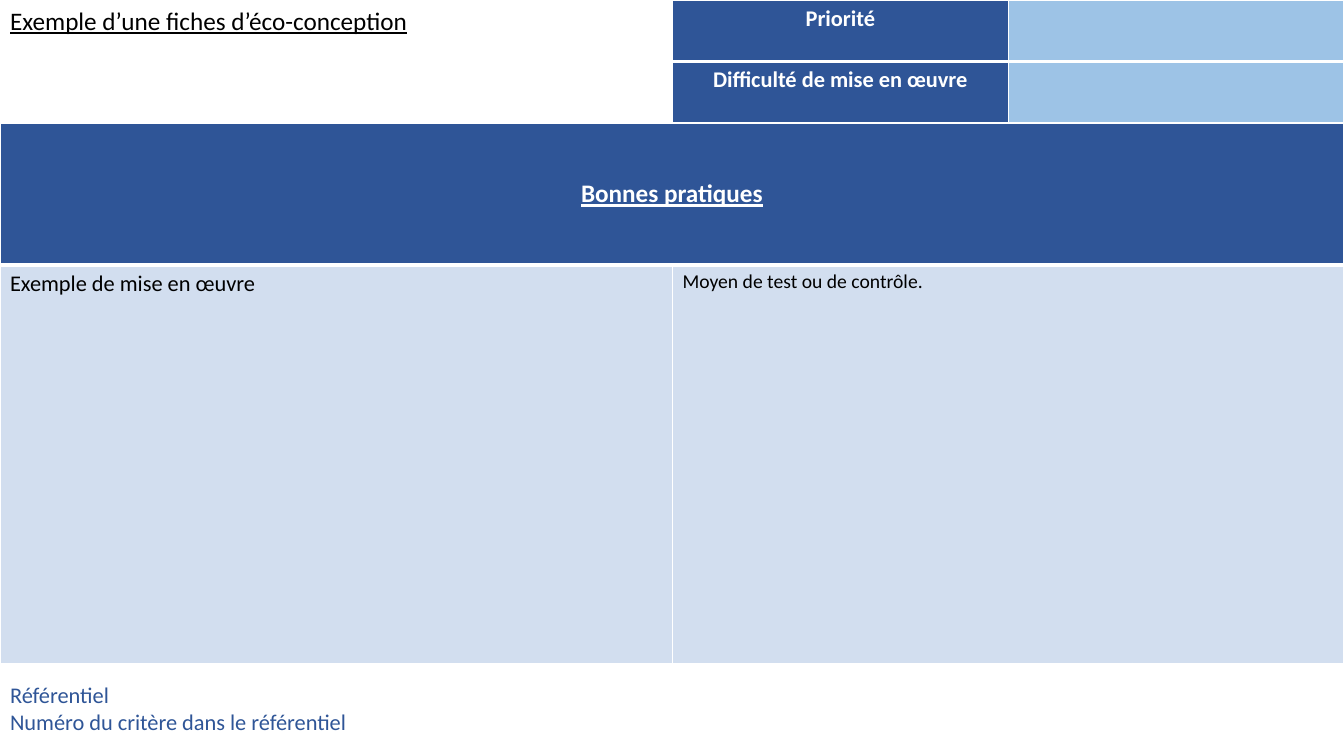
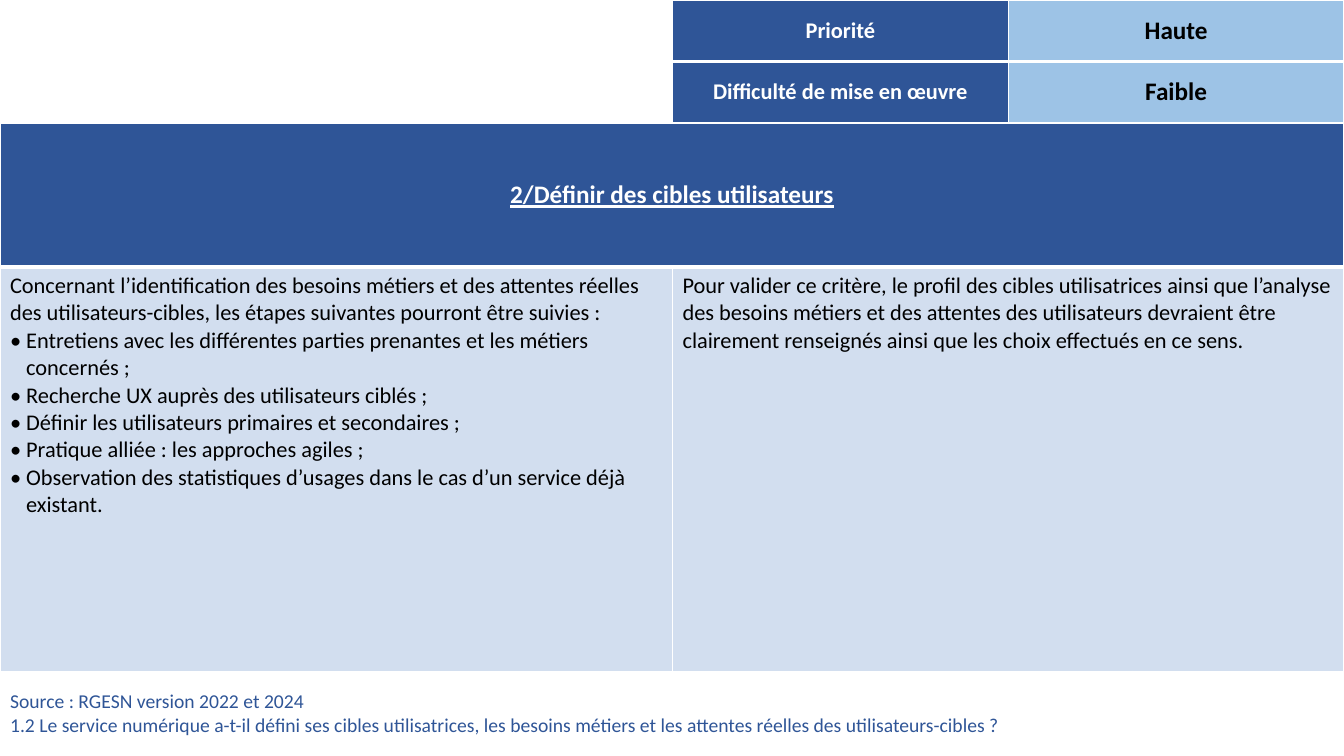
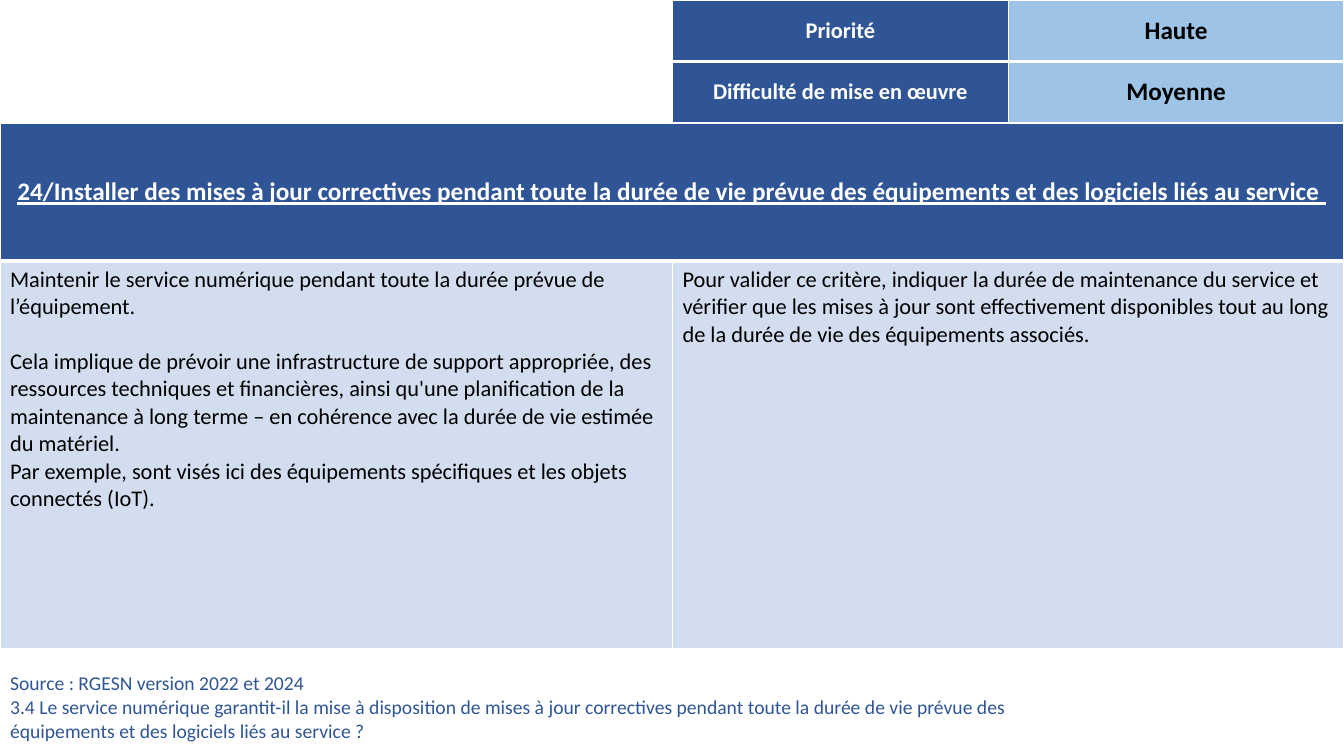
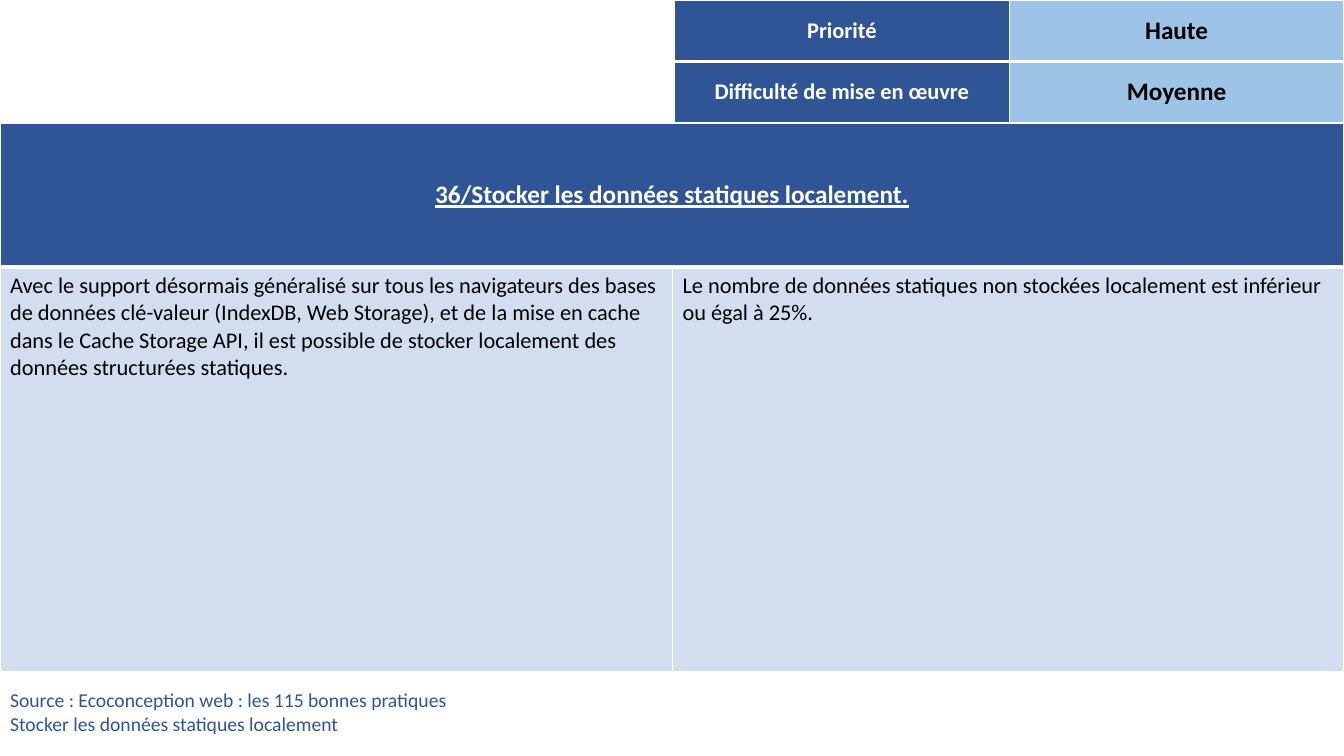
from dataclasses import dataclass

from lxml import etree
from pptx import Presentation
from pptx.dml.color import RGBColor
from pptx.enum import text
from pptx.oxml import ns
from pptx.util import Inches, Pt


@dataclass(frozen=True)
class Theme:
    font: str = "Calibri"
    navy: str = "2F5597"
    sky: str = "9DC3E6"
    pale: str = "D2DEEF"
    white: str = "FFFFFF"
    black: str = "000000"
    large: int = 18
    medium: int = 16
    small: int = 14
    thin: int = 1
    thick: int = 3
    bullet_indent: float = 0.16


theme = Theme()
LEFT, CENTER = text.PP_ALIGN.LEFT, text.PP_ALIGN.CENTER
TOP, MIDDLE = text.MSO_ANCHOR.TOP, text.MSO_ANCHOR.MIDDLE


def add_grid(page, left, top, widths, heights):
    table = page.shapes.add_table(
        len(heights), len(widths), Inches(left), Inches(top),
        Inches(sum(widths)), Inches(sum(heights))).table
    table.first_row = table.horz_banding = False
    for column, width in zip(table.columns, widths):
        column.width = Inches(width)
    for index, (row, height) in enumerate(zip(table.rows, heights)):
        row.height = Inches(height)
        borders = {"L": theme.thin, "R": theme.thin,
                   "T": theme.thick if index else theme.thin,
                   "B": theme.thin if index else theme.thick}
        for cell in row.cells:
            properties = cell._tc.get_or_add_tcPr()
            for side, weight in borders.items():
                line = etree.SubElement(properties, ns.qn(f"a:ln{side}"), w=str(Pt(weight)))
                fill = etree.SubElement(line, ns.qn("a:solidFill"))
                etree.SubElement(fill, ns.qn("a:srgbClr"), val=theme.white)
    return table


def fill_cell(cell, lines, fill, size, color, align=LEFT, anchor=TOP,
              bold=False, underline=False, gap_before=None):
    cell.fill.solid()
    cell.fill.fore_color.rgb = RGBColor.from_string(fill)
    cell.vertical_anchor = anchor
    cell.text_frame.text = "\n".join(line.removeprefix("• ") for line in lines)
    for index, (line, para) in enumerate(zip(lines, cell.text_frame.paragraphs)):
        para.alignment = align
        if index == gap_before:
            para.space_before = Pt(19.5)
        if line.startswith("• "):
            properties = para._p.get_or_add_pPr()
            indent = Inches(theme.bullet_indent)
            properties.set("marL", str(indent))
            properties.set("indent", str(-indent))
            etree.SubElement(properties, ns.qn("a:buFont"), typeface=theme.font)
            etree.SubElement(properties, ns.qn("a:buChar"), char="•")
        for span in para.runs:
            span.font.name = theme.font
            span.font.size = Pt(size)
            span.font.bold = bold
            span.font.underline = underline
            span.font.color.rgb = RGBColor.from_string(color)


sheets = [
    dict(
        title="Exemple d’une fiches d’éco-conception",
        heading="Bonnes pratiques",
        ratings=("", ""), rating_left=6.67, rating_anchor=TOP,
        heights=(1.41, 3.95),
        example=["Exemple de mise en œuvre"],
        check="Moyen de test ou de contrôle.", check_size=theme.small,
        source=["Référentiel", "Numéro du critère dans le référentiel"],
        source_top=6.58, source_height=0.92, source_size=theme.medium,
    ),
    dict(
        heading="2/Définir des cibles utilisateurs",
        ratings=("Haute", "Faible"), rating_left=6.67,
        heights=(1.43, 4.01),
        example=[
            "Concernant l’identification des besoins métiers et des attentes réelles des "
            "utilisateurs-cibles, les étapes suivantes pourront être suivies :",
            "• Entretiens avec les différentes parties prenantes et les métiers concernés ;",
            "• Recherche UX auprès des utilisateurs ciblés ;",
            "• Définir les utilisateurs primaires et secondaires ;",
            "• Pratique alliée : les approches agiles ;",
            "• Observation des statistiques d’usages dans le cas d’un service déjà existant.",
        ],
        check="Pour valider ce critère, le profil des cibles utilisatrices ainsi que l’analyse "
              "des besoins métiers et des attentes des utilisateurs devraient être clairement "
              "renseignés ainsi que les choix effectués en ce sens.",
        source=[
            "Source : RGESN version 2022 et 2024",
            "1.2 Le service numérique a-t-il défini ses cibles utilisatrices, les besoins "
            "métiers et les attentes réelles des utilisateurs-cibles ?",
        ],
        source_top=6.66, source_height=0.84,
    ),
    dict(
        heading="24/Installer des mises à jour correctives pendant toute la durée de vie prévue "
                "des équipements et des logiciels liés au service ",
        ratings=("Haute", "Moyenne"), rating_left=6.67,
        heights=(1.37, 3.84),
        example=[
            "Maintenir le service numérique pendant toute la durée prévue de l’équipement.",
            "Cela implique de prévoir une infrastructure de support appropriée, des ressources "
            "techniques et financières, ainsi qu'une planification de la maintenance à long "
            "terme – en cohérence avec la durée de vie estimée du matériel.",
            "Par exemple, sont visés ici des équipements spécifiques et les objets connectés (IoT).",
        ],
        gap_before=1,
        check="Pour valider ce critère, indiquer la durée de maintenance du service et vérifier "
              "que les mises à jour sont effectivement disponibles tout au long de la durée de "
              "vie des équipements associés.",
        source=[
            "Source : RGESN version 2022 et 2024",
            "3.4 Le service numérique garantit-il la mise à disposition de mises à jour "
            "correctives pendant toute la durée de vie prévue des",
            "équipements et des logiciels liés au service ?",
        ],
        source_top=6.6, source_height=0.84,
    ),
    dict(
        heading="36/Stocker les données statiques localement.",
        ratings=("Haute", "Moyenne"), rating_left=6.69,
        heights=(1.43, 4.01),
        example=[
            "Avec le support désormais généralisé sur tous les navigateurs des bases de données "
            "clé-valeur (IndexDB, Web Storage), et de la mise en cache dans le Cache Storage "
            "API, il est possible de stocker localement des données structurées statiques.",
        ],
        check="Le nombre de données statiques non stockées localement est inférieur ou égal à 25%.",
        source=[
            "Source : Ecoconception web : les 115 bonnes pratiques",
            "Stocker les données statiques localement",
        ],
        source_top=6.71, source_height=0.73,
    ),
]

deck = Presentation()
deck.slide_width, deck.slide_height = Inches(13.33), Inches(7.5)
title_layout, blank_layout = deck.slide_layouts[5], deck.slide_layouts[6]

for sheet in sheets:
    page = deck.slides.add_slide(title_layout if "title" in sheet else blank_layout)

    practice = add_grid(page, 0, 1.22, (6.67, 6.66), sheet["heights"])
    practice.cell(0, 0).merge(practice.cell(0, 1))
    fill_cell(practice.cell(0, 0), [sheet["heading"]], theme.navy, theme.large, theme.white,
              CENTER, MIDDLE, bold=True, underline=True)
    fill_cell(practice.cell(1, 0), sheet["example"], theme.pale, theme.medium, theme.black,
              gap_before=sheet.get("gap_before"))
    fill_cell(practice.cell(1, 1), [sheet["check"]], theme.pale,
              sheet.get("check_size", theme.medium), theme.black)

    rating_width = (13.33 - sheet["rating_left"]) / 2
    rating = add_grid(page, sheet["rating_left"], 0, (rating_width,) * 2, (0.61, 0.61))
    anchor = sheet.get("rating_anchor", MIDDLE)
    labels = ("Priorité", "Difficulté de mise en œuvre")
    for row, (label, value) in enumerate(zip(labels, sheet["ratings"])):
        fill_cell(rating.cell(row, 0), [label], theme.navy, theme.medium, theme.white,
                  CENTER, anchor, bold=True)
        fill_cell(rating.cell(row, 1), [value], theme.sky, theme.large, theme.black,
                  CENTER, anchor, bold=True)

    source = add_grid(page, 0, sheet["source_top"], (11.23,), (sheet["source_height"],))
    fill_cell(source.cell(0, 0), sheet["source"], theme.white,
              sheet.get("source_size", theme.small), theme.navy, anchor=MIDDLE)

    if "title" in sheet:
        box = page.shapes.title
        box.left, box.top, box.width, box.height = map(Inches, (0, 0, 6.52, 0.4))
        frame = box.text_frame
        frame.text = sheet["title"]
        frame.auto_size = text.MSO_AUTO_SIZE.NONE
        frame.vertical_anchor = TOP
        para = frame.paragraphs[0]
        para.alignment = LEFT
        span = para.runs[0]
        span.font.name = theme.font
        span.font.size = Pt(theme.large)
        span.font.underline = True
        span.font.color.rgb = RGBColor.from_string(theme.black)

deck.save("out.pptx")
